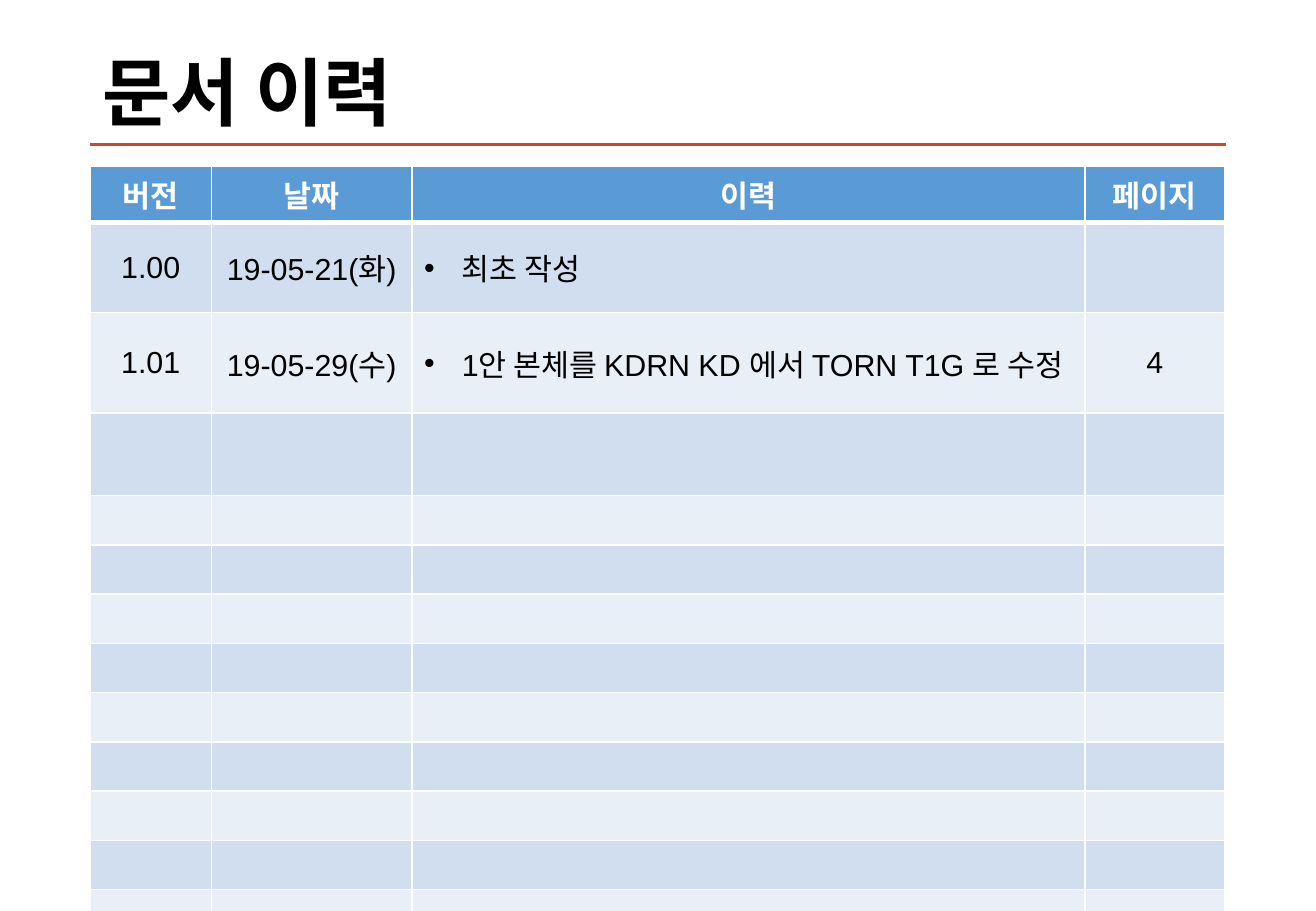
from lxml import etree
from pptx import Presentation
from pptx.dml.color import RGBColor
from pptx.enum import shapes, text
from pptx.oxml import ns
from pptx.util import Cm, Pt


def write(frame, words, font="Arial", size=18, color="000000", bold=False,
          align=text.PP_ALIGN.CENTER, bullet=False, spacing=None):
    para = frame.paragraphs[0]
    para.alignment = align
    if spacing:
        para.line_spacing = spacing
    if bullet:
        props = para._p.get_or_add_pPr()
        props.set("marL", str(Cm(0.79)))
        props.set("indent", str(-Cm(0.79)))
        face = etree.SubElement(props, ns.qn("a:buFont"))
        face.set("typeface", "Arial")
        etree.SubElement(props, ns.qn("a:buChar")).set("char", "•")
    run = para.add_run()
    run.text = words
    run.font.name = font
    run.font.size = Pt(size)
    run.font.bold = bold
    run.font.color.rgb = RGBColor.from_string(color)


def border(cell, side, width):
    """Draw a white line on one side (L, R, T or B) of a cell."""
    props = cell._tc.get_or_add_tcPr()
    line = etree.SubElement(props, ns.qn(f"a:ln{side}"), w=str(Pt(width)))
    fill = etree.SubElement(line, ns.qn("a:solidFill"))
    etree.SubElement(fill, ns.qn("a:srgbClr"), val="FFFFFF")


deck = Presentation()
deck.slide_width, deck.slide_height = Cm(27.51), Cm(19.05)
slide = deck.slides.add_slide(deck.slide_layouts[5])

# Title and rule
title = slide.shapes.title
title.left, title.top = Cm(1.88), Cm(1.02)
title.width, title.height = Cm(23.72), Cm(2)
title.text_frame.vertical_anchor = text.MSO_ANCHOR.MIDDLE
write(title.text_frame, "문서 이력", font="Times New Roman", size=44, bold=True,
      align=text.PP_ALIGN.LEFT, spacing=0.9)

rule = slide.shapes.add_connector(
    shapes.MSO_CONNECTOR.STRAIGHT, Cm(1.88), Cm(3.02), Cm(25.62), Cm(3.02))
rule.line.color.rgb = RGBColor.from_string("D24726")
rule.line.width = Pt(2)
etree.SubElement(rule._element.spPr, ns.qn("a:effectLst"))

# Revision table
heads = ["버전", "날짜", "이력", "페이지"]
edits = [
    ["1.00", "19-05-21(화)", "최초 작성", ""],
    ["1.01", "19-05-29(수)", "1안 본체를 KDRN KD 에서 TORN T1G 로 수정", "4"],
]
widths = [2.54, 4.19, 14.07, 2.92]
heights = [0.99] * 3 + [1.73] + [0.99] * 9
blank = [[""] * len(heads)] * (len(heights) - 1 - len(edits))
rows = [heads] + edits + blank

table = slide.shapes.add_table(
    len(rows), len(heads), Cm(1.88), Cm(3.48),
    Cm(sum(widths)), Cm(sum(heights))).table
for col, width in zip(table.columns, widths):
    col.width = Cm(width)

for r, row in enumerate(rows):
    table.rows[r].height = Cm(heights[r])
    head = r == 0
    shade = "5B9BD5" if head else ("E9EFF7", "D0DEEF")[r % 2]
    for c, words in enumerate(row):
        cell = table.cell(r, c)
        cell.vertical_anchor = text.MSO_ANCHOR.MIDDLE
        for side in "LRTB":
            thick = (r, side) in [(0, "B"), (1, "T")]
            border(cell, side, 3 if thick else 1)
        cell.fill.solid()
        cell.fill.fore_color.rgb = RGBColor.from_string(shade)
        note = c == 2 and not head
        if words:
            write(cell.text_frame, words, bold=head, bullet=note,
                  color="FFFFFF" if head else "000000",
                  align=text.PP_ALIGN.LEFT if note else text.PP_ALIGN.CENTER)

deck.save("out.pptx")
